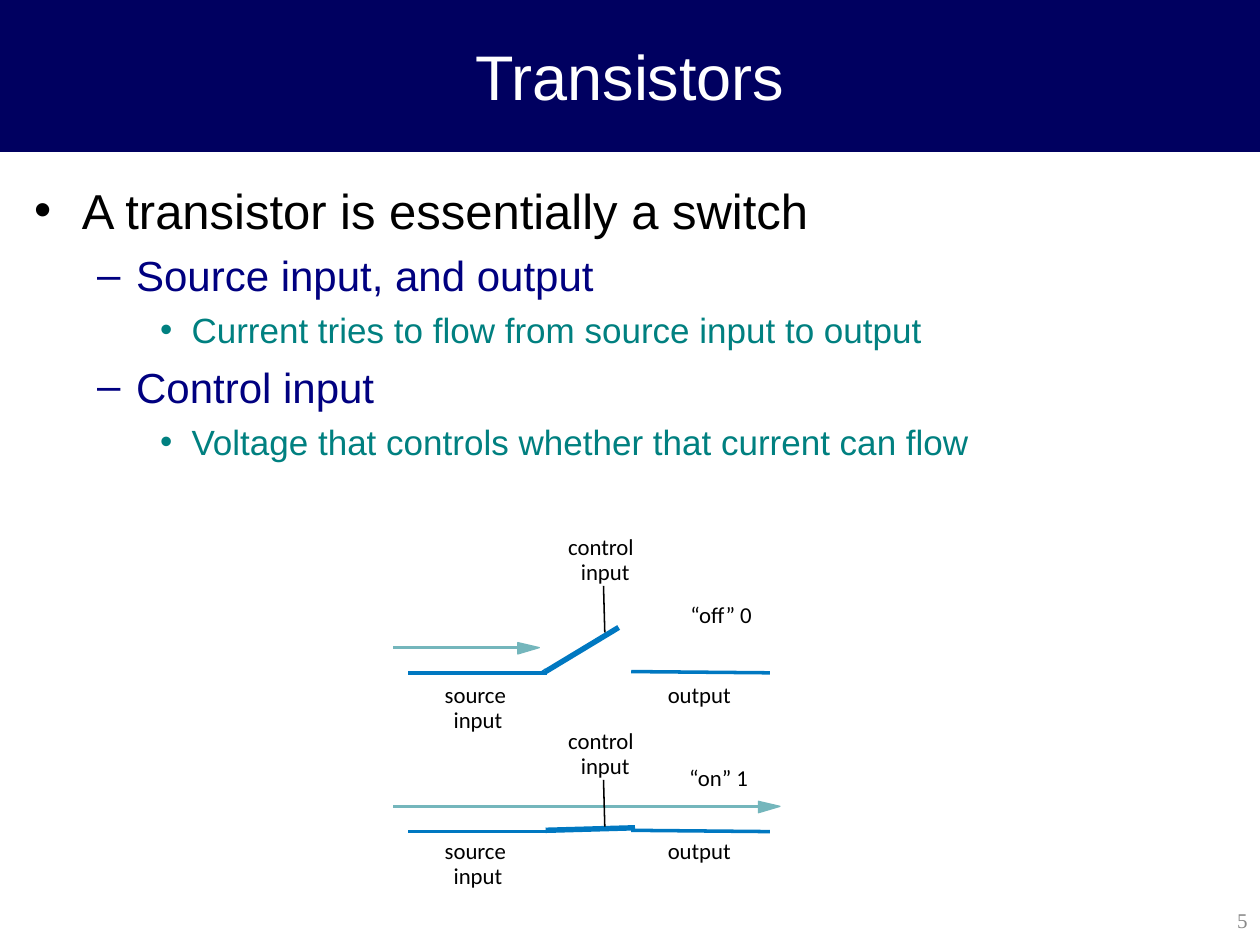
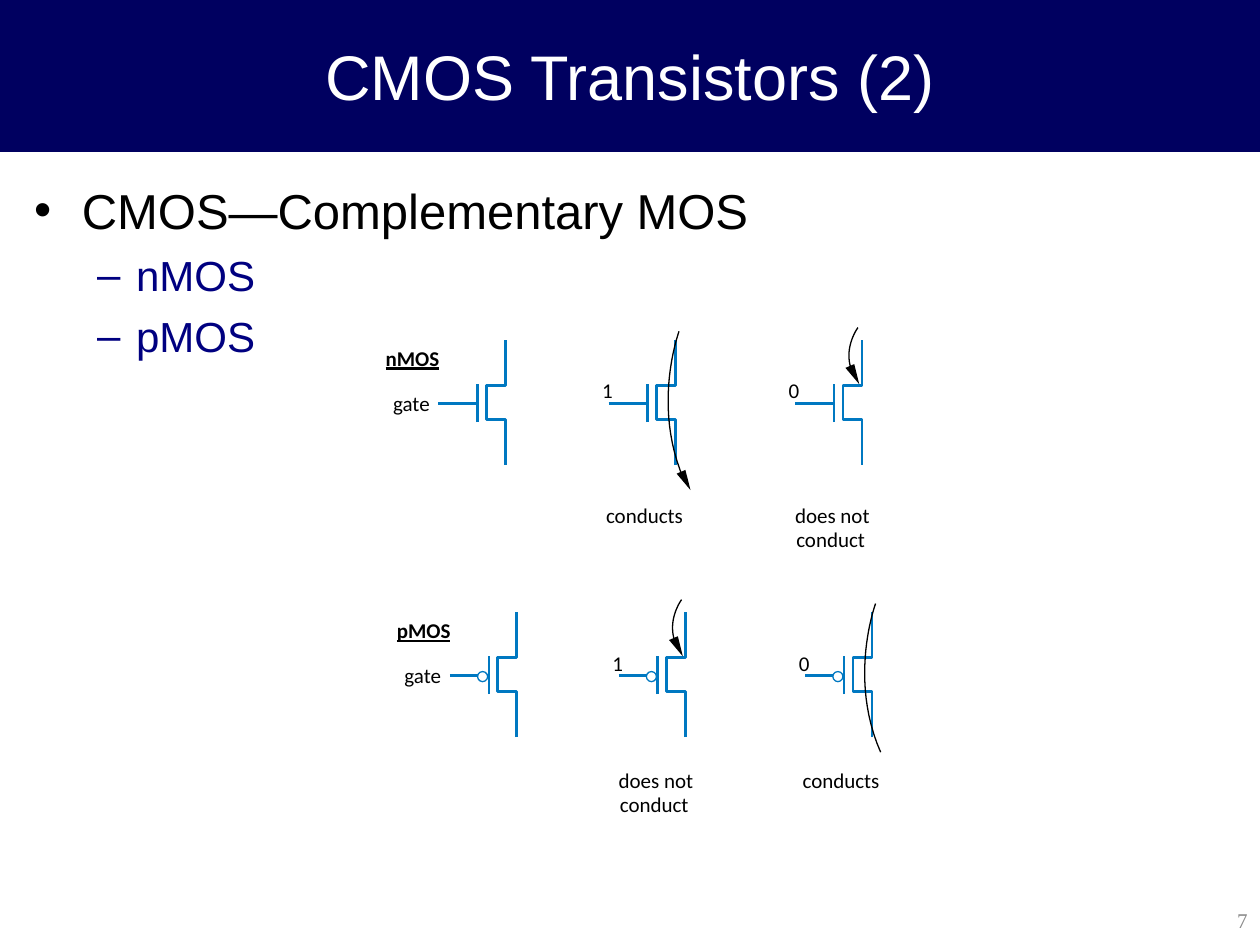
import pptx
import pptx.dml.color
import pptx.enum.shapes
import pptx.enum.text
import pptx.oxml.ns
import pptx.util
from lxml import etree

Inches = pptx.util.Inches
Pt = pptx.util.Pt
PP_ALIGN = pptx.enum.text.PP_ALIGN
ANCHOR = pptx.enum.text.MSO_ANCHOR
AUTO_SIZE = pptx.enum.text.MSO_AUTO_SIZE
SHAPE = pptx.enum.shapes.MSO_SHAPE

COLORS = {
    "band": "000060",
    "navy": "000080",
    "teal": "008080",
    "wire": "0078C1",
    "flow": "74B6BC",
    "black": "000000",
    "white": "FFFFFF",
    "grey": "898989",
}

# size, colour, left margin, hanging indent, space before
LEVELS = [
    (28, "black", 0.38, 0.38, 7),
    (24, "navy", 0.81, 0.31, 6),
    (20, "teal", 1.25, 0.25, 5),
]

LABEL_WIDTHS = {
    "“off” 0": 0.55, "“on” 1": 0.54, "output": 0.57, "source": 0.57,
    "input": 0.45, "control": 0.6, "does not": 0.69, "conduct": 0.63,
    "conducts": 0.71, "gate": 0.35, "nMOS": 0.49, "pMOS": 0.49,
    "0": 0.1, "1": 0.1,
}


def rgb(name):
    return pptx.dml.color.RGBColor.from_string(COLORS[name])


def place(shape, x, y, w, h):
    shape.left, shape.top = Inches(x), Inches(y)
    shape.width, shape.height = Inches(w), Inches(h)


def set_font(p, name, size, color):
    p.font.name = name
    p.font.size = Pt(size)
    p.font.color.rgb = rgb(color)


def style_shape(shape, fill=None, line=None, width=0.75):
    shape.shadow.inherit = False
    if fill:
        shape.fill.solid()
        shape.fill.fore_color.rgb = rgb(fill)
    else:
        shape.fill.background()
    if line:
        shape.line.color.rgb = rgb(line)
        shape.line.width = Pt(width)
    else:
        shape.line.fill.background()


def add_band(s):
    """Put the title band behind everything else on the slide."""
    band = s.shapes.add_shape(SHAPE.RECTANGLE, 0, 0, Inches(10), Inches(1.2))
    style_shape(band, "band", "band")
    s.shapes.element.insert(2, band.element)


def add_title(s, text):
    title = s.shapes.title
    place(title, 0, 0, 10, 1.2)
    tf = title.text_frame
    tf.text = text
    tf.auto_size = AUTO_SIZE.NONE
    tf.vertical_anchor = ANCHOR.MIDDLE
    p = tf.paragraphs[0]
    p.alignment = PP_ALIGN.CENTER
    set_font(p, "Arial", 36, "white")


def add_bullets(s, items):
    body = s.placeholders[1]
    place(body, 0.17, 1.38, 9.66, 5.72)
    tf = body.text_frame
    tf.auto_size = AUTO_SIZE.NONE
    for i, (level, text) in enumerate(items):
        p = tf.add_paragraph() if i else tf.paragraphs[0]
        size, color, margin, hang, before = LEVELS[level]
        p.text = text
        p.level = level
        p.space_before = Pt(before if i else 0)
        pPr = p._p.get_or_add_pPr()
        pPr.set("marL", str(Inches(margin)))
        pPr.set("indent", str(-Inches(hang)))
        set_font(p, "Arial", size, color)


def add_page_number(s, number):
    box = s.shapes.add_textbox(Inches(7.88), Inches(7.1), Inches(2.12), Inches(0.4))
    tf = box.text_frame
    tf.word_wrap = True
    tf.vertical_anchor = ANCHOR.MIDDLE
    p = tf.paragraphs[0]
    p.text = str(number)
    p.alignment = PP_ALIGN.RIGHT
    set_font(p, "Times New Roman", 12, "grey")


def add_content_slide(prs, title, items, number):
    s = prs.slides.add_slide(prs.slide_layouts[1])
    add_band(s)
    add_title(s, title)
    add_bullets(s, items)
    add_page_number(s, number)
    return s


def add_line(s, x1, y1, x2, y2, color, width):
    line = s.shapes.add_connector(
        pptx.enum.shapes.MSO_CONNECTOR.STRAIGHT,
        Inches(x1), Inches(y1), Inches(x2), Inches(y2))
    line.line.color.rgb = rgb(color)
    line.line.width = Pt(width)
    etree.SubElement(line.element.spPr, pptx.oxml.ns.qn("a:effectLst"))


def add_outline(s, points, fill=None, line=None, width=0.75):
    """Draw a path through the points, closed when it is filled."""
    points = [(Inches(x), Inches(y)) for x, y in points]
    builder = s.shapes.build_freeform(*points[0])
    builder.add_line_segments(points[1:], close=bool(fill))
    style_shape(builder.convert_to_shape(), fill, line, width)


def add_curve(s, start, control, end, steps=24):
    """Draw a cubic curve whose first control point is its start."""
    points = []
    for i in range(steps + 1):
        t = i / steps
        u = 1 - t
        weights = (u ** 3 + 3 * u * u * t, 3 * u * t * t, t ** 3)
        points.append(tuple(
            sum(w * v for w, v in zip(weights, axis))
            for axis in zip(start, control, end)))
    add_outline(s, points, line="black")


def add_label(s, text, x, y, size, heading=False):
    box = s.shapes.add_textbox(
        Inches(x), Inches(y), Inches(LABEL_WIDTHS[text]), Inches(size / 60))
    tf = box.text_frame
    tf.margin_left = tf.margin_right = tf.margin_top = tf.margin_bottom = 0
    tf.word_wrap = False
    tf.auto_size = AUTO_SIZE.SHAPE_TO_FIT_TEXT
    p = tf.paragraphs[0]
    p.text = text
    set_font(p, "Calibri", size, "black")
    if heading:
        p.font.bold = True
        p.font.underline = True


def add_flow_arrow(s, y, tip):
    add_line(s, 3.12, y, tip - 0.14, y, "flow", 1.62)
    head = [(tip, y), (tip - 0.17, y - 0.04), (tip - 0.17, y + 0.05)]
    add_outline(s, head, "flow", "flow")


def add_switch(s, state, state_at, control_y, flow_y, flow_tip, wire_y, lever_end, label_y):
    add_flow_arrow(s, flow_y, flow_tip)
    add_line(s, 4.33, wire_y - 0.01, *lever_end, "wire", 3.12)
    add_line(s, 3.24, wire_y, 4.34, wire_y, "wire", 2)
    add_line(s, 5.01, wire_y - 0.01, 6.11, wire_y, "wire", 2)
    add_label(s, state, *state_at, 13)
    add_label(s, "output", 5.3, label_y, 13)
    add_label(s, "source", 3.53, label_y, 13)
    add_label(s, "input", 3.6, label_y + 0.2, 13)
    add_label(s, "control", 4.51, control_y, 13)
    add_label(s, "input", 4.61, control_y + 0.2, 13)
    add_line(s, 4.79, control_y + 0.42, 4.8, control_y + 0.79, "black", 0.88)


def add_transistor(s, x, y, bubble):
    """Draw a transistor whose gate wire starts at x, y."""
    add_line(s, x, y, x + 0.31, y, "wire", 1.5)
    channel = [(0.53, 0.49), (0.53, 0.13), (0.38, 0.13),
               (0.38, -0.14), (0.53, -0.14), (0.53, -0.5)]
    add_outline(s, [(x + dx, y + dy) for dx, dy in channel], line="wire", width=1.5)
    add_line(s, x + 0.31, y + 0.15, x + 0.31, y - 0.15, "wire", 1.5)
    if bubble:
        dot = s.shapes.add_shape(
            SHAPE.OVAL, Inches(x + 0.22), Inches(y - 0.03), Inches(0.08), Inches(0.08))
        style_shape(dot, "white", "wire")


def add_current(s, x, y, conducts, head=True):
    """Draw the current through a transistor, or stopped at its channel."""
    if conducts:
        curve = [(0.56, -0.57), (0.34, 0.02), (0.6, 0.61)]
        tip_x, tip_y = x + 0.65, y + 0.69
    else:
        curve = [(0.5, -0.6), (0.38, -0.44), (0.45, -0.26)]
        tip_x, tip_y = x + 0.51, y - 0.15
    add_curve(s, *[(x + dx, y + dy) for dx, dy in curve])
    if head:
        add_outline(s, [(tip_x, tip_y), (tip_x - 0.04, tip_y - 0.16),
                        (tip_x - 0.11, tip_y - 0.13)], "black")


def add_transistor_row(s, name, gates, y, caption_y, on_bit):
    """Draw the named symbol, then its behaviour for gate values 1 and 0."""
    bubble = name == "pMOS"
    first = gates[0]
    add_transistor(s, first, y, bubble)
    add_label(s, "gate", first - 0.36, y - 0.1, 12)
    add_label(s, name, first - 0.42, y - 0.46, 12, heading=True)
    for x, bit in zip(gates[1:], "10"):
        conducts = bit == on_bit
        add_transistor(s, x, y, bubble)
        add_current(s, x, y, conducts, head=not (bubble and conducts))
        add_label(s, bit, x - 0.05, y - 0.2, 12)
        if conducts:
            add_label(s, "conducts", x - 0.02, caption_y, 12)
        else:
            add_label(s, "does not", x, caption_y, 12)
            add_label(s, "conduct", x + 0.01, caption_y + 0.19, 12)


def main():
    prs = pptx.Presentation()
    prs.slide_width, prs.slide_height = Inches(10), Inches(7.5)

    s = add_content_slide(prs, "Transistors", [
        (0, "A transistor is essentially a switch"),
        (1, "Source input, and output"),
        (2, "Current tries to flow from source input to output"),
        (1, "Control input"),
        (2, "Voltage that controls whether that current can flow"),
    ], 5)
    add_switch(s, "“off” 0", (5.48, 4.77), control_y=4.23, flow_y=5.14, flow_tip=4.28,
               wire_y=5.34, lever_end=(4.91, 4.98), label_y=5.4)
    add_switch(s, "“on” 1", (5.47, 6.06), control_y=5.77, flow_y=6.4, flow_tip=6.19,
               wire_y=6.6, lever_end=(5.04, 6.57), label_y=6.64)
    add_line(s, 4.33, 5.31, 4.3, 5.33, "wire", 0.88)

    s = add_content_slide(prs, "CMOS Transistors (2)", [
        (0, "CMOS—Complementary MOS"),
        (1, "nMOS"),
        (1, "pMOS"),
    ], 7)
    add_transistor_row(s, "nMOS", (3.48, 4.83, 6.31), 3.2, 3.99, on_bit="1")
    add_transistor_row(s, "pMOS", (3.57, 4.91, 6.39), 5.36, 6.09, on_bit="0")

    prs.save("out.pptx")


if __name__ == "__main__":
    main()
